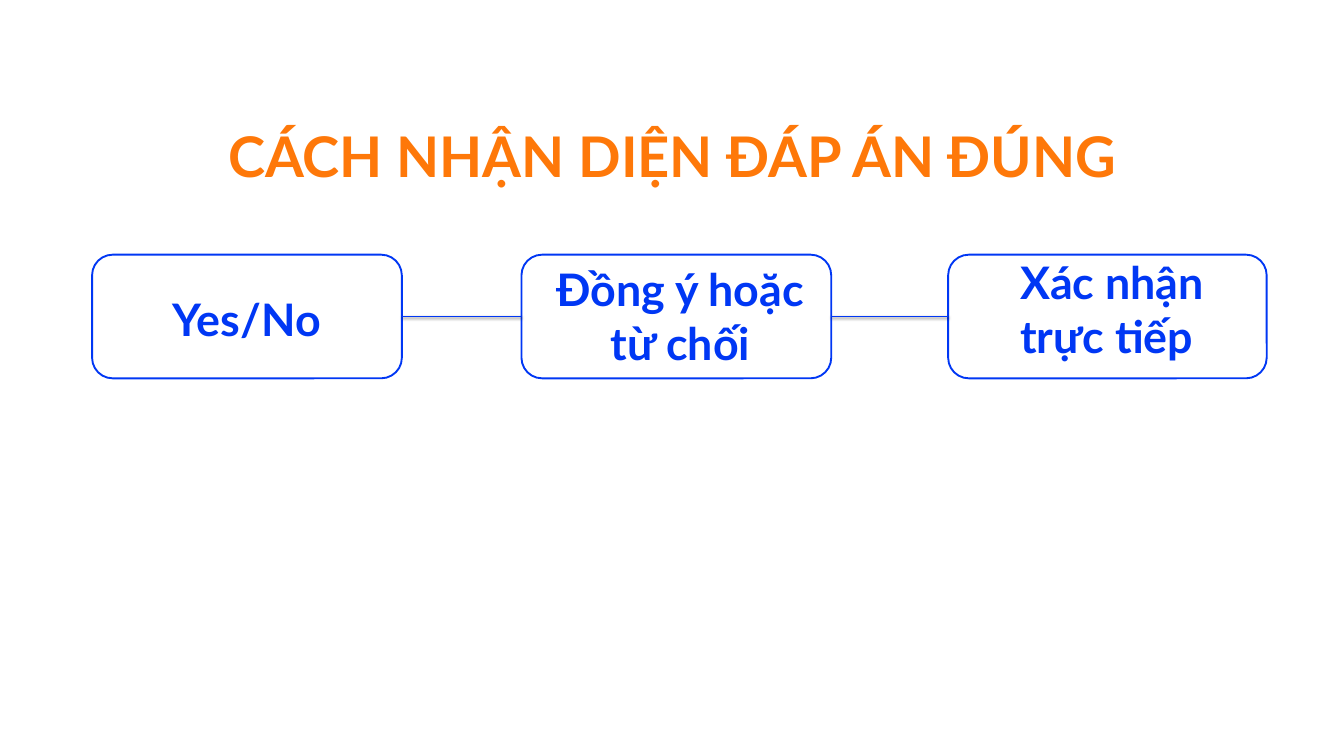
from lxml import etree
from pptx import Presentation
from pptx.dml.color import RGBColor
from pptx.enum.shapes import MSO_CONNECTOR as Connector, MSO_SHAPE as Shape
from pptx.enum.text import MSO_ANCHOR as Anchor, MSO_AUTO_SIZE as AutoSize, PP_ALIGN as Align
from pptx.oxml.ns import qn
from pptx.util import Inches, Pt

ORANGE, BLUE = "FE7809", "0037F4"
LEFT, RIGHT = 1, 3  # connection sites of a box

# Outline (left, width), label text and label offset and size within the outline
STEPS = [
    (1.37, 4.61, "Yes/No", (0.64, 0.5, 3.33, 0.91)),
    (7.76, 4.61, "Đồng ý hoặc từ chối", (0.29, 0.06, 4.15, 1.72)),
    (14.11, 4.74, "Xác nhận trực tiếp ", (0.34, -0.05, 4.2, 1.72)),
]


def color(value):
    return RGBColor.from_string(value)


def add_text(slide, box, text, size, hue):
    frame = slide.shapes.add_textbox(*map(Inches, box)).text_frame
    frame.word_wrap = True
    frame.auto_size = AutoSize.SHAPE_TO_FIT_TEXT
    line = frame.paragraphs[0]
    line.text = text
    line.alignment = Align.CENTER
    line.font.name, line.font.size, line.font.bold = "Lato", Pt(size), True
    line.font.color.rgb = color(hue)
    return frame


def add_title(slide, box):
    frame = add_text(slide, box, "CÁCH NHẬN DIỆN ĐÁP ÁN ĐÚNG", 60, ORANGE)
    frame.vertical_anchor = Anchor.MIDDLE
    frame.margin_left = frame.margin_right = frame.margin_top = frame.margin_bottom = 0
    frame.paragraphs[0].line_spacing = 1.3


def style_line(line):
    line.color.rgb = color(BLUE)
    line.width = Pt(2)


def add_link(slide, start, end):
    link = slide.shapes.add_connector(Connector.STRAIGHT, 0, 0, 0, 0)
    link.begin_connect(start, RIGHT)
    link.end_connect(end, LEFT)
    style_line(link.line)
    # Soft shadow straight below the line
    effects = etree.SubElement(link._element.spPr, qn("a:effectLst"))
    shadow = etree.SubElement(effects, qn("a:outerShdw"), blurRad=str(Pt(3.1)),
                              dist=str(Pt(1.6)), dir="5400000", rotWithShape="0")
    black = etree.SubElement(shadow, qn("a:srgbClr"), val="000000")
    etree.SubElement(black, qn("a:alpha"), val="38000")


def add_steps(slide, top, height):
    # Outlines
    outlines = []
    for left, width, _, _ in STEPS:
        outline = slide.shapes.add_shape(
            Shape.ROUNDED_RECTANGLE, *map(Inches, (left, top, width, height)))
        outline.shadow.inherit = False
        outline.fill.background()
        style_line(outline.line)
        outlines.append(outline)

    # Labels
    for left, _, label, (dx, dy, label_width, label_height) in STEPS:
        add_text(slide, (left + dx, top + dy, label_width, label_height), label, 48, BLUE)

    # Links between neighbours
    for start, end in zip(outlines, outlines[1:]):
        add_link(slide, start, end)


def main():
    deck = Presentation()
    deck.slide_width, deck.slide_height = Inches(20), Inches(11.25)
    slide = deck.slides.add_slide(deck.slide_layouts[6])
    add_title(slide, (2.22, 1.58, 15.57, 1.17))
    add_steps(slide, 3.79, 1.84)
    deck.save("out.pptx")


if __name__ == "__main__":
    main()
